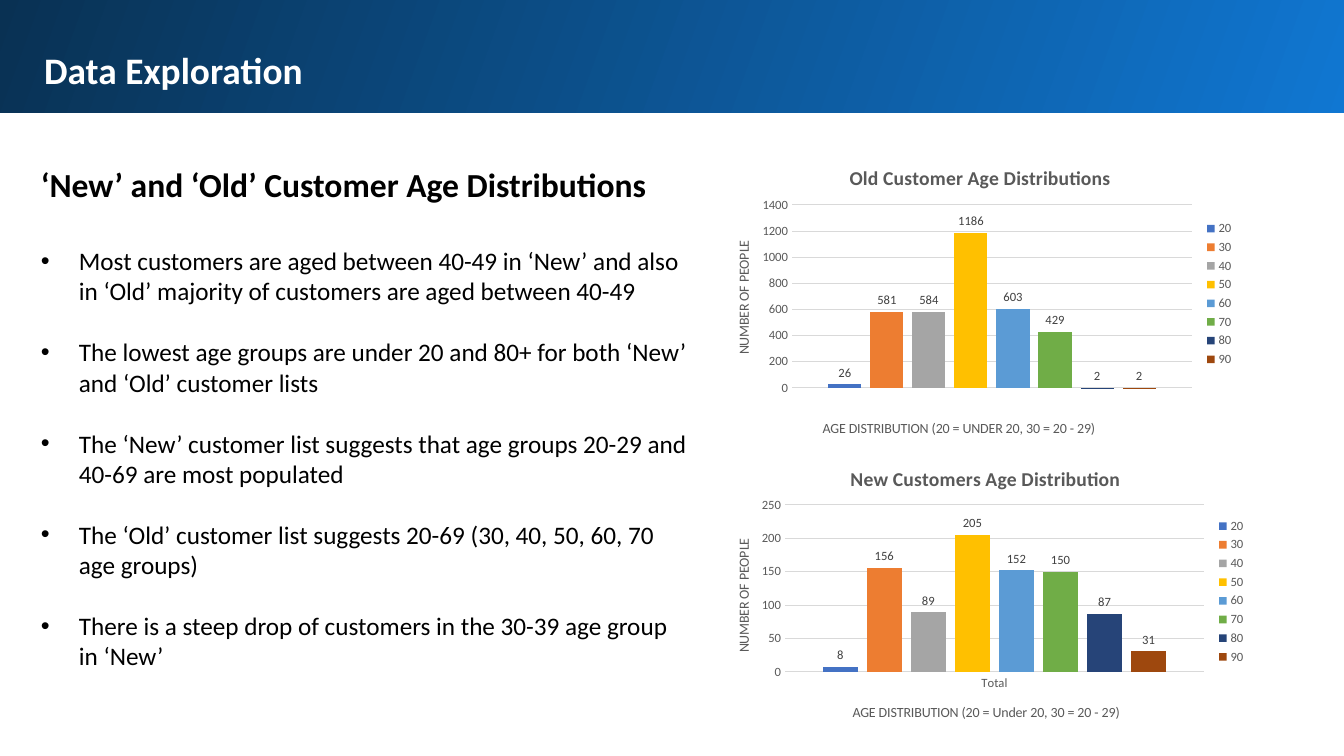
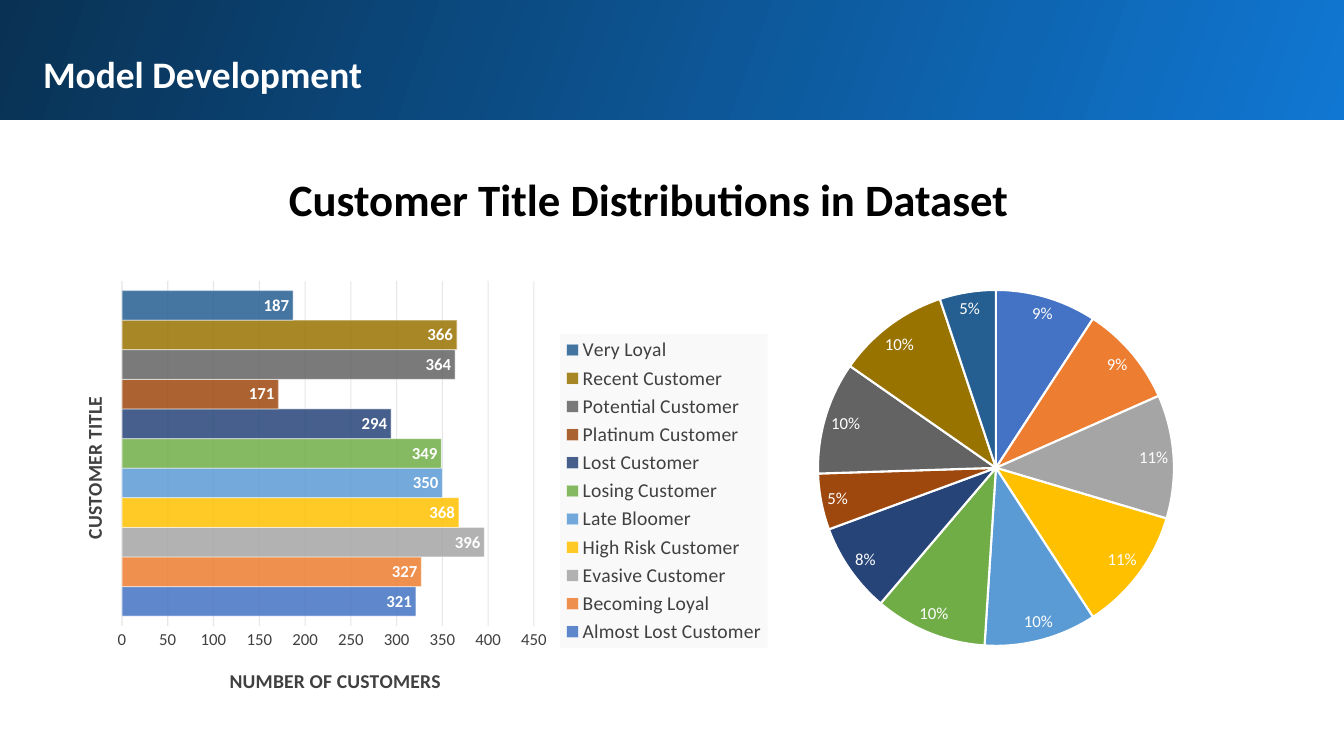
from pptx import Presentation, util as u
from pptx.chart.data import CategoryChartData
from pptx.dml.color import RGBColor
from pptx.enum import chart as charts, shapes, text
from pptx.oxml import parse_xml
from pptx.oxml.ns import nsdecls, qn

PIXEL = 914400 / 100.8
FONT = "Calibri"
WHITE = RGBColor(0xFF, 0xFF, 0xFF)
BLACK = RGBColor(0x00, 0x00, 0x00)
BRIGHT_BLUE = RGBColor(0x10, 0x77, 0xD2)
DEEP_BLUE = RGBColor(0x09, 0x31, 0x53)
GRAY = RGBColor(0x59, 0x59, 0x59)
DARK_GRAY = RGBColor(0x40, 0x40, 0x40)
GRID_GRAY = RGBColor(0xD9, 0xD9, 0xD9)
GRID_BLACK = RGBColor(0x0D, 0x0D, 0x0D)
LEGEND_GRAY = RGBColor(0xF9, 0xF9, 0xF9)
PALETTE = [RGBColor.from_string(code) for code in (
    "4472C4", "ED7D31", "A5A5A5", "FFC000", "5B9BD5", "70AD47",
    "264478", "9E480E", "636363", "997300", "255E91")]

BULLETS = [
    "Most customers are aged between 40-49 in ‘New’ and also in ‘Old’ "
    "majority of customers are aged between 40-49",
    "The lowest age groups are under 20 and 80+ for both ‘New’ and ‘Old’ customer lists",
    "The ‘New’ customer list suggests that age groups 20-29 and 40-69 are most populated",
    "The ‘Old’ customer list suggests 20-69 (30, 40, 50, 60, 70 age groups)",
    "There is a steep drop of customers in the 30-39 age group in ‘New’",
]
AGES = ["20", "30", "40", "50", "60", "70", "80", "90"]
OLD_COUNTS = [26, 581, 584, 1186, 603, 429, 2, 2]
NEW_COUNTS = [8, 156, 89, 205, 152, 150, 87, 31]
TITLE_COUNTS = {
    "Almost Lost Customer": 321, "Becoming Loyal": 327, "Evasive Customer": 396,
    "High Risk Customer": 368, "Late Bloomer": 350, "Losing Customer": 349,
    "Lost Customer": 294, "Platinum Customer": 171, "Potential Customer": 364,
    "Recent Customer": 366, "Very Loyal": 187,
}
TITLE_SHARES = [0.09, 0.09, 0.11, 0.11, 0.1, 0.1, 0.08, 0.05, 0.1, 0.1, 0.05]

AGE_LOOK = {
    "kind": charts.XL_CHART_TYPE.COLUMN_CLUSTERED, "gap": 219, "overlap": -27,
    "ink": GRAY, "grid": GRID_GRAY, "tick_size": 9, "legend_size": 9,
    "title_size": 10, "title_bold": False,
    "label": {"size": 9, "color": DARK_GRAY},
    "label_place": charts.XL_LABEL_POSITION.OUTSIDE_END,
}
TITLE_LOOK = {
    "kind": charts.XL_CHART_TYPE.BAR_CLUSTERED, "gap": 65, "overlap": 0,
    "ink": DARK_GRAY, "grid": GRID_BLACK, "tick_size": 12, "legend_size": 14,
    "title_size": 14, "title_bold": True,
    "label": {"size": 12, "color": WHITE, "bold": True},
    "label_place": charts.XL_LABEL_POSITION.INSIDE_END,
}


def px(value):
    """Turn pixels into EMU."""
    return u.Emu(round(value * PIXEL))


def assign(target, **values):
    """Set several attributes of one object."""
    for name, value in values.items():
        setattr(target, name, value)


def style_font(font, size, color, bold=False):
    """Set face, size, colour and weight."""
    assign(font, name=FONT, size=u.Pt(size), bold=bold)
    font.color.rgb = color


def frame_text(box, frame, inset=None):
    """Place a text shape and make it wrap, grow and start at the top."""
    assign(box, **dict(zip(("left", "top", "width", "height"), map(px, frame))))
    body = box.text_frame
    assign(body, word_wrap=True, vertical_anchor=text.MSO_ANCHOR.TOP,
           auto_size=text.MSO_AUTO_SIZE.SHAPE_TO_FIT_TEXT)
    if inset:
        assign(body, **{f"margin_{side}": px(inset)
                        for side in ("left", "top", "right", "bottom")})
    return body


def write(para, words, size, color, bold=False):
    """Fill a paragraph with one left-aligned run."""
    para.alignment = text.PP_ALIGN.LEFT
    span = para.add_run()
    span.text = words
    style_font(span.font, size, color, bold)


def add_page(deck, title, title_frame, band_frame):
    """Add a slide with the gradient band and its title."""
    page = deck.slides.add_slide(deck.slide_layouts[5])
    band = page.shapes.add_shape(shapes.MSO_SHAPE.RECTANGLE, *map(px, band_frame))
    band.shadow.inherit = False
    band.line.fill.background()
    band.fill.gradient()
    band.fill.gradient_angle = 160
    for stop, color in zip(band.fill.gradient_stops, (BRIGHT_BLUE, DEEP_BLUE)):
        stop.color.rgb = color
    page.shapes.title._element.addprevious(band._element)
    body = frame_text(page.shapes.title, title_frame, inset=13)
    write(body.paragraphs[0], title, 26.7, WHITE, True)
    return page


def add_heading(page, words, size, frame):
    """Add a text box that opens with a bold heading."""
    body = frame_text(page.shapes.add_textbox(*map(px, frame)), frame)
    write(body.paragraphs[0], words, size, BLACK, True)
    return body


def add_bullet(body, words, space):
    """Append a bulleted paragraph with space above it."""
    para = body.add_paragraph()
    para.space_before = u.Pt(space)
    write(para, words, 18, BLACK)
    settings = para._p.get_or_add_pPr()
    settings.set("marL", str(px(38)))
    settings.set("indent", str(px(-38)))
    settings.append(parse_xml(f'<a:buFont {nsdecls("a")} typeface="Arial"/>'))
    settings.append(parse_xml(f'<a:buChar {nsdecls("a")} char="•"/>'))


def fade(parent, percent):
    """Give the colours below an element an opacity."""
    for color in parent.iter(qn("a:srgbClr")):
        color.append(parse_xml(f'<a:alpha {nsdecls("a")} val="{percent * 1000}"/>'))


def area(color=None):
    """Make borderless area properties, filled or clear."""
    fill = "<a:noFill/>"
    if color is not None:
        fill = f'<a:solidFill><a:srgbClr val="{color}"/></a:solidFill>'
    return parse_xml(f'<c:spPr {nsdecls("c", "a")}>{fill}'
                     "<a:ln><a:noFill/></a:ln></c:spPr>")


def place(owner, chart_frame, spot):
    """Fix a chart part at a spot (left, top and perhaps width, height)."""
    left, top, width, height = chart_frame
    shares = [(spot[0] - left) / width, (spot[1] - top) / height]
    modes = '<c:xMode val="edge"/><c:yMode val="edge"/>'
    if len(spot) == 4:
        shares += [spot[2] / width, spot[3] / height]
        modes = '<c:layoutTarget val="inner"/>' + modes
    places = "".join(f'<c:{key} val="{share:.4f}"/>'
                     for key, share in zip("xywh", shares))
    layout = owner.find(qn("c:layout"))
    if layout is None:
        layout = parse_xml(f'<c:layout {nsdecls("c")}/>')
        owner.insert(0, layout)
    layout.append(parse_xml(f'<c:manualLayout {nsdecls("c")}>{modes}{places}'
                            "</c:manualLayout>"))


def caption(title, words, chart_frame, spot, size, color, bold, upright=False):
    """Write and place a chart title or an axis title."""
    para = title.text_frame.paragraphs[0]
    span = para.add_run()
    span.text = words
    style_font(span.font, size, color, bold)
    place(title._element, chart_frame, spot)
    if upright:
        turn = title._element.find(".//" + qn("a:bodyPr"))
        turn.set("rot", "-5400000")
        turn.set("vert", "horz")


def add_chart(page, kind, frame, plot_frame, categories, series, backdrop=None):
    """Add a chart with a fixed plot area and a plain font."""
    data = CategoryChartData()
    data.categories = categories
    for name, values in series.items():
        data.add_series(name, values)
    chart = page.shapes.add_chart(kind, *map(px, frame), data).chart
    style_font(chart.font, 10, BLACK)
    chart.has_title = False
    chart.has_legend = False
    root = chart._element
    root.find(qn("c:chart")).addnext(area(backdrop))
    place(root.find(".//" + qn("c:plotArea")), frame, plot_frame)
    return chart


def label_series(series, position, font):
    """Show the values of a series."""
    labels = series.data_labels
    assign(labels, show_value=True, position=position)
    style_font(labels.font, **font)
    return labels


def add_bars(page, look, frame, plot_frame, category, counts, top, step,
             axis_titles, backdrop=None):
    """Add a bar chart with one coloured series for each group."""
    chart = add_chart(page, look["kind"], frame, plot_frame, [category],
                      {name: [count] for name, count in counts.items()}, backdrop)
    plot = chart.plots[0]
    assign(plot, gap_width=look["gap"], overlap=look["overlap"],
           vary_by_categories=False)
    for series, color in zip(plot.series, PALETTE):
        series.invert_if_negative = False
        series.format.fill.solid()
        series.format.fill.fore_color.rgb = color
        label_series(series, look["label_place"], look["label"])

    values = chart.value_axis
    assign(values, minimum_scale=0, maximum_scale=top, major_unit=step)
    values.format.line.fill.background()
    grid = values.major_gridlines.format.line
    grid.width = u.Pt(0.75)
    grid.color.rgb = look["grid"]
    for axis, (words, spot, upright) in zip((chart.category_axis, values), axis_titles):
        axis.major_tick_mark = charts.XL_TICK_MARK.NONE
        style_font(axis.tick_labels.font, look["tick_size"], look["ink"])
        caption(axis.axis_title, words, frame, spot, look["title_size"],
                look["ink"], look["title_bold"], upright)

    chart.has_legend = True
    assign(chart.legend, position=charts.XL_LEGEND_POSITION.RIGHT,
           include_in_layout=False)
    style_font(chart.legend.font, look["legend_size"], look["ink"])
    return chart


def add_age_chart(page, title, title_spot, frame, counts, category, **options):
    """Add a titled column chart of customers by age group."""
    chart = add_bars(page, AGE_LOOK, frame, category=category,
                     counts=dict(zip(AGES, counts)), **options)
    chart.has_title = True
    caption(chart.chart_title, title, frame, title_spot, 14, GRAY, True)
    return chart


def add_title_bars(page):
    """Add the translucent bars of customers by title."""
    chart = add_bars(
        page, TITLE_LOOK, (49, 272, 727, 438), (122, 281, 412, 345), "1",
        TITLE_COUNTS, 450, 50,
        [("CUSTOMER TITLE", (77, 393), True),
         ("NUMBER OF CUSTOMERS", (226, 664), False)], WHITE)
    chart.category_axis.visible = False
    for series in chart.plots[0].series:
        series.format.line.width = u.Pt(0.75)
        series.format.line.color.rgb = WHITE
        look = series._element.find(qn("c:spPr"))
        fade(look.find(qn("a:solidFill")), 85)
        fade(look.find(qn("a:ln")), 50)
    fade(chart.value_axis._element.find(qn("c:majorGridlines")), 10)
    legend = chart.legend._element
    legend.find(qn("c:txPr")).addprevious(area(LEGEND_GRAY))


def add_share_pie(page):
    """Add the pie of customer title shares."""
    categories = [str(number) for number in range(1, len(TITLE_SHARES) + 1)]
    chart = add_chart(page, charts.XL_CHART_TYPE.PIE, (674, 251, 621, 409),
                      (818, 290, 356, 356), categories, {"Series 1": TITLE_SHARES})
    chart.plots[0].vary_by_categories = True
    series = chart.plots[0].series[0]
    for index, color in enumerate(PALETTE):
        look = series.points[index].format
        look.fill.solid()
        look.fill.fore_color.rgb = color
        look.line.width = u.Pt(1.5)
        look.line.color.rgb = WHITE
    labels = label_series(series, charts.XL_LABEL_POSITION.BEST_FIT,
                          {"size": 12, "color": WHITE})
    assign(labels, number_format="0%", number_format_is_linked=False)


def main():
    """Build both slides and save the deck."""
    deck = Presentation()
    assign(deck, slide_width=px(1344), slide_height=px(756))

    page = add_page(deck, "Data Exploration", (31, 34, 1259, 73), (0, -10, 1351, 123))
    body = add_heading(page, "‘New’ and ‘Old’ Customer Age Distributions", 24,
                       (31, 159, 666, 519))
    for index, words in enumerate(BULLETS):
        add_bullet(body, words, 22 if index else 29.3)
    old = add_age_chart(
        page, "Old Customer Age Distributions", (846, 161), (710, 145, 534, 298),
        OLD_COUNTS, "1", plot_frame=(792, 205, 400, 183), top=1400, step=200,
        axis_titles=[("AGE DISTRIBUTION (20 = UNDER 20, 30 = 20 - 29)", (820, 417), False),
                     ("NUMBER OF PEOPLE", (732, 238), True)])
    old.category_axis.visible = False
    new = add_age_chart(
        page, "New Customers Age Distribution", (847, 462), (710, 444, 546, 295),
        NEW_COUNTS, "Total", plot_frame=(785, 505, 419, 167), top=250, step=50,
        axis_titles=[("AGE DISTRIBUTION (20 = Under 20, 30 = 20 - 29)", (850, 701), False),
                     ("NUMBER OF PEOPLE", (732, 536), True)])
    new.category_axis.format.line.width = u.Pt(0.75)
    new.category_axis.format.line.color.rgb = GRID_GRAY

    page = add_page(deck, "Model Development", (30, 38, 1259, 73), (-2, -3, 1351, 123))
    add_heading(page, "Customer Title Distributions in Dataset", 32, (279, 167, 760, 65))
    add_title_bars(page)
    add_share_pie(page)
    deck.save("out.pptx")


main()
